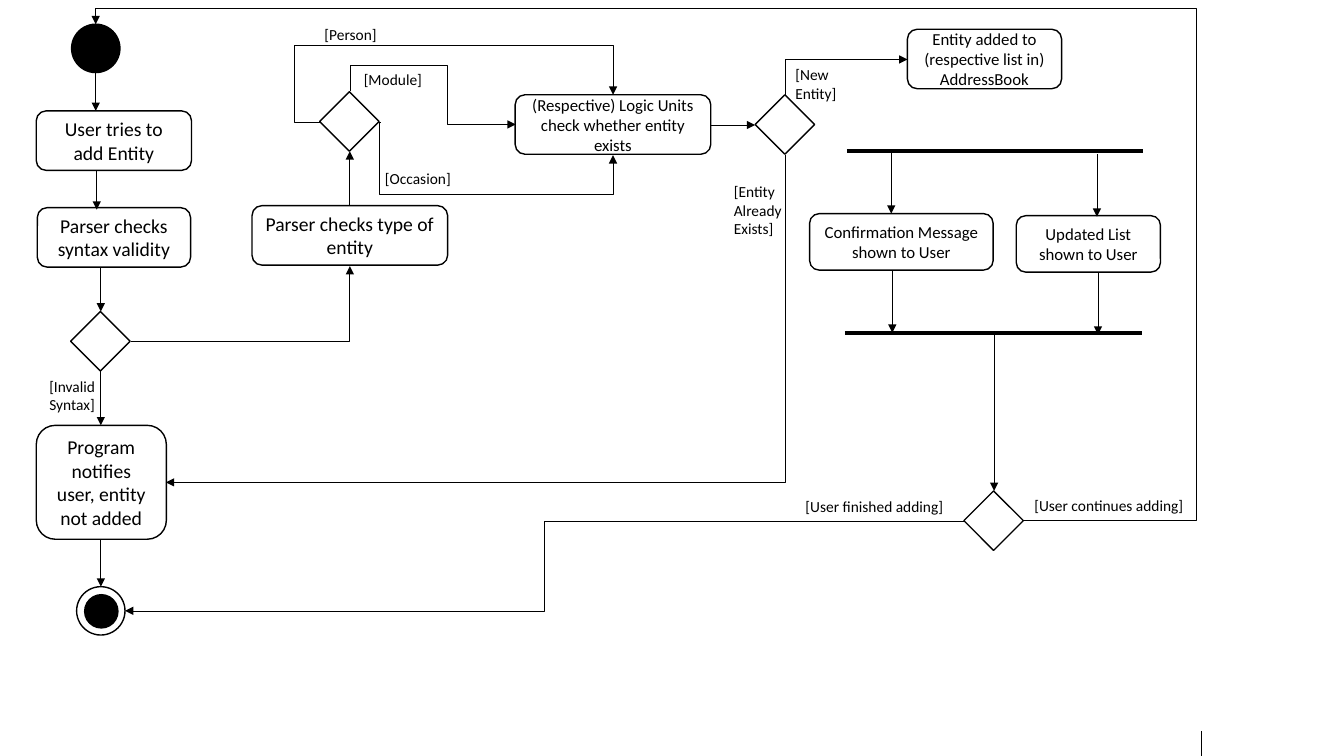
"""Builds the activity diagram for adding an entity."""
from lxml import etree
from pptx import Presentation
from pptx import util as u
from pptx.dml.color import RGBColor
from pptx.enum import shapes, text
from pptx.oxml.ns import qn

COLOURS = {"ink": "000000"}
FONT = "Calibri"
DIAMOND_SIZE = 0.59
NODE_SIZE = 0.48

ACTIONS = [
    ("User tries to add Entity", 0.36, 1.1, 1.54, 0.59, 14),
    ("Parser checks syntax validity", 0.37, 2.06, 1.52, 0.59, 14),
    ("Program notifies user, entity not added", 0.36, 4.22, 1.29, 1.13, 14),
    ("Parser checks type of entity", 2.5, 2.04, 1.94, 0.59, 14),
    ("(Respective) Logic Units check whether entity exists", 5.11, 0.94, 1.94, 0.59, 12),
    ("Entity added to (respective list in) AddressBook", 9, 0.29, 1.53, 0.59, 12),
    ("Confirmation Message shown to User", 8.03, 2.12, 1.82, 0.56, 12),
    ("Updated List shown to User", 10.08, 2.14, 1.43, 0.56, 12),
]
DECISIONS = [(0.7, 3.09), (3.17, 0.91), (7.49, 0.94), (9.56, 4.87)]
GUARDS = [
    ("[Person]", 3.12, 0.2, 1.13, 0.29),
    ("[Module]", 3.51, 0.65, 1.13, 0.29),
    ("[Occasion]", 3.72, 1.63, 1.13, 0.29),
    ("[Invalid Syntax]", 0.39, 3.69, 0.71, 0.47),
    ("[New Entity]", 7.79, 0.6, 0.61, 0.47),
    ("[Entity Already Exists]", 7.18, 1.76, 0.86, 0.66),
    ("[User finished adding]", 7.89, 4.88, 1.82, 0.29),
    ("[User continues adding]", 10.16, 4.87, 1.82, 0.29),
]
ARROWS = [
    (0.95, 0.72, 0.95, 1.1),
    (0.96, 1.7, 0.96, 2.08),
    (1, 2.65, 1, 3.09),
    (1, 3.68, 1, 4.22),
    (1, 5.35, 1, 5.82),
    (3.47, 2.04, 3.47, 1.5),
    (7.05, 1.24, 7.49, 1.24),
    (8.84, 1.5, 8.84, 2.12),
    (10.88, 1.53, 10.88, 2.15),
    (8.85, 2.68, 8.85, 3.3),
    (10.89, 2.7, 10.89, 3.32),
    (9.86, 3.32, 9.86, 4.87),
]
BARS = [(8.4, 1.5, 11.34, 1.5), (8.38, 3.3, 11.33, 3.3)]
ELBOWS = [
    ((3.09, 0.09, 3.25, 6.14), 90, "", 2, ()),
    ((1.3, 2.64, 2.17, 0.75), 0, "V", 2, ()),
    ((8.22, 0.16, 0.35, 1.21), 90, "HV", 2, ()),
    ((1.24, 5.17, 8.32, 0.89), 180, "V", 3, (50000,)),
    ((3.17, 0.94, 2.91, 0.27), 180, "H", 4, (-8600, 281900)),
    ((4.13, 0.25, 0.33, 1.64), 270, "H", 4, (-76700, 59000)),
    ((3.77, 1.21, 2.31, 0.33), 0, "", 4, (-200, 216400)),
    ((0.95, 0.24, 9.2, 4.92), 0, "HV", 4, (-18700, 103200)),
]


def ink():
    """Return the colour of all lines and text."""
    return RGBColor.from_string(COLOURS["ink"])


def write(shape, wording, size):
    """Set wrapped text in the diagram font."""
    frame = shape.text_frame
    frame.word_wrap = True
    frame.text = wording
    font = frame.paragraphs[0].runs[0].font
    font.name, font.size = FONT, u.Pt(size)
    font.color.rgb = ink()


def add_outline(slide, kind, left, top, width, height, filled=False):
    """Add an outlined preset shape, solid or empty."""
    shape = slide.shapes.add_shape(kind, *map(u.Inches, (left, top, width, height)))
    shape.shadow.inherit = False
    if filled:
        shape.fill.solid()
        shape.fill.fore_color.rgb = ink()
    else:
        shape.fill.background()
    shape.line.color.rgb = ink()
    shape.line.width = u.Pt(1)
    return shape


def add_action(slide, wording, left, top, width, height, size):
    """Add a rounded action box with centred text."""
    shape = add_outline(slide, shapes.MSO_SHAPE.ROUNDED_RECTANGLE, left, top, width, height)
    write(shape, wording, size)
    shape.text_frame.vertical_anchor = text.MSO_ANCHOR.MIDDLE
    shape.text_frame.paragraphs[0].alignment = text.PP_ALIGN.CENTER


def add_guard(slide, wording, left, top, width, height):
    """Add a guard label."""
    box = slide.shapes.add_textbox(*map(u.Inches, (left, top, width, height)))
    write(box, wording, 11)
    box.text_frame.auto_size = text.MSO_AUTO_SIZE.SHAPE_TO_FIT_TEXT


def add_line(slide, ends, width=0.5, arrow=True, kind=shapes.MSO_CONNECTOR.STRAIGHT):
    """Add a connector, with an arrowhead at its end if asked."""
    connector = slide.shapes.add_connector(kind, *map(u.Inches, ends))
    connector.line.color.rgb = ink()
    connector.line.width = u.Pt(width)
    if arrow:
        head = etree.SubElement(connector.line._get_or_add_ln(), qn("a:tailEnd"))
        head.set("type", "triangle")
    etree.SubElement(connector._element.spPr, qn("a:effectLst"))
    return connector


def add_elbow(slide, frame, rotation, flips, segments, adjustments):
    """Add a bent arrow from its unrotated frame, turn, flips and bends."""
    left, top, width, height = frame
    ends = (left, top, left + width, top + height)
    connector = add_line(slide, ends, kind=shapes.MSO_CONNECTOR.ELBOW)
    properties = connector._element.spPr
    transform = properties.find(qn("a:xfrm"))
    transform.set("rot", str(rotation * 60000))
    for flip in flips:
        transform.set(f"flip{flip}", "1")
    geometry = properties.find(qn("a:prstGeom"))
    geometry.set("prst", f"bentConnector{segments}")
    guides = geometry.find(qn("a:avLst"))
    for number, value in enumerate(adjustments, 1):
        guide = etree.SubElement(guides, qn("a:gd"))
        guide.set("name", f"adj{number}")
        guide.set("fmla", f"val {value}")


def add_end_nodes(slide):
    """Add the solid start node and the ringed final node."""
    oval = shapes.MSO_SHAPE.OVAL
    add_outline(slide, oval, 0.71, 0.24, NODE_SIZE, NODE_SIZE, filled=True)
    add_outline(slide, oval, 0.76, 5.82, NODE_SIZE, NODE_SIZE)
    add_outline(slide, oval, 0.84, 5.9, 0.33, 0.33, filled=True)


def main():
    """Build and save the slide."""
    presentation = Presentation()
    presentation.slide_width = u.Inches(13.33)
    presentation.slide_height = u.Inches(7.5)
    slide = presentation.slides.add_slide(presentation.slide_layouts[6])
    add_end_nodes(slide)
    for action in ACTIONS:
        add_action(slide, *action)
    for left, top in DECISIONS:
        add_outline(slide, shapes.MSO_SHAPE.DIAMOND, left, top, DIAMOND_SIZE, DIAMOND_SIZE)
    for ends in BARS:
        add_line(slide, ends, width=3, arrow=False)
    for ends in ARROWS:
        add_line(slide, ends)
    add_line(slide, (11.92, 7.25, 11.92, 7.5), arrow=False)
    for elbow in ELBOWS:
        add_elbow(slide, *elbow)
    for guard in GUARDS:
        add_guard(slide, *guard)
    presentation.save("out.pptx")


if __name__ == "__main__":
    main()
